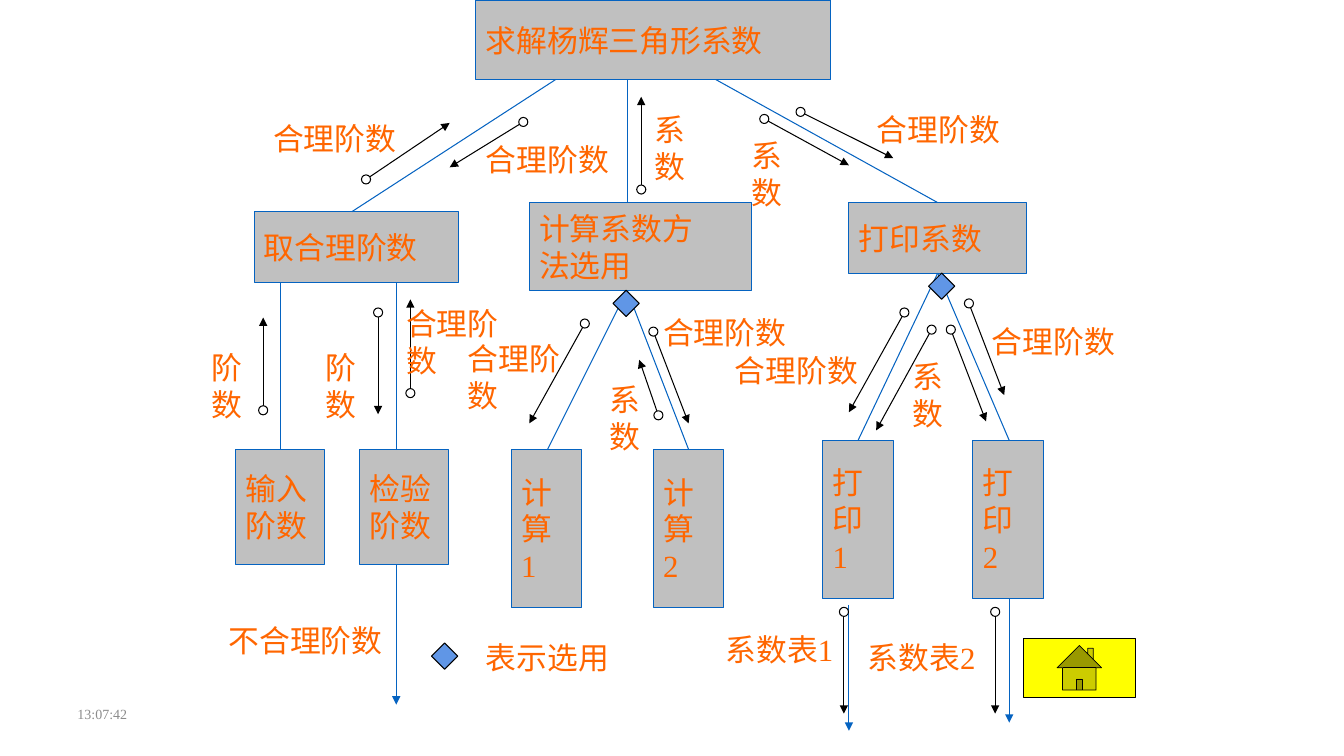
from math import hypot

from pptx import Presentation
from pptx.dml.color import RGBColor
from pptx.enum.shapes import MSO_CONNECTOR as CONN, MSO_SHAPE as SHAPE
from pptx.enum.text import MSO_ANCHOR as ANCHOR, PP_ALIGN as ALIGN
from pptx.oxml.ns import qn
from pptx.util import Inches, Pt
from lxml.etree import SubElement

COLORS = {
    "module": "C0C0C0", "link": "0563C1", "text": "FF6600", "black": "000000",
    "white": "FFFFFF", "choice": "6096E6", "home": "FFFF00", "time": "8C8C8C",
}
LABEL = {"size": Pt(22), "name": "Times New Roman"}
TIME = {"size": Pt(10), "name": "Times New Roman"}
DOT = 0.09
DIAMOND = 0.26

MODULES = {
    "root": ("求解杨辉三角形系数", 2.72, 0, 3.52, 0.79),
    "get": ("取合理阶数", 0.52, 2.1, 2.03, 0.7),
    "print": ("打印系数", 6.42, 2.01, 1.76, 0.7),
    "calc": ("计算系数方\n法选用", 3.25, 2.01, 2.2, 0.87),
    "input": ("输入\n阶数", 0.34, 4.46, 0.88, 1.14),
    "check": ("检验\n阶数", 1.57, 4.46, 0.88, 1.14),
    "calc1": ("计\n算\n1", 3.07, 4.46, 0.7, 1.57),
    "calc2": ("计\n算\n2", 4.48, 4.46, 0.7, 1.57),
    "print1": ("打\n印\n1", 6.16, 4.37, 0.7, 1.57),
    "print2": ("打\n印\n2", 7.65, 4.37, 0.7, 1.57),
}
LINKS = [
    ("root", 4.22, "calc", 4.22), ("root", 3.51, "get", 1.49),
    ("root", 5.1, "print", 7.3), ("get", 0.78, "input", 0.78),
    ("get", 1.93, "check", 1.93), ("calc", 4.22, "calc1", 3.43),
    ("calc", 4.22, "calc2", 4.83), ("print", 7.3, "print1", 6.51),
    ("print", 7.3, "print2", 8.01),
]
OUTPUTS = [(1.93, 5.6, 6.99), (6.42, 6, 7.25), (8.01, 5.94, 7.17)]
FLOWS = [
    (0.61, 4.07, 0.61, 3.15), (2.07, 3.9, 2.07, 2.97), (4.36, 1.88, 4.36, 0.96),
    (1.75, 3.1, 1.75, 4.11), (6.37, 6.07, 6.37, 7.08), (7.87, 6.07, 7.87, 7.08),
    (3.8, 3.21, 3.25, 4.2), (4.48, 3.29, 4.83, 4.2), (4.53, 4.12, 4.34, 3.57),
    (6.97, 3.1, 6.42, 4.09), (7.61, 3.01, 7.96, 3.92), (7.43, 3.27, 7.78, 4.18),
    (7.24, 3.27, 6.69, 4.27), (1.63, 1.78, 2.46, 1.22), (3.19, 1.21, 2.46, 1.66),
    (5.58, 1.18, 6.42, 1.64), (5.94, 1.11, 6.86, 1.57),
]
LABELS = {
    "合理阶数": [
        (0.61, 1.14, 1.59), (2.72, 1.35, 1.52), (6.6, 1.05, 1.67), (2.54, 3.32, 1.23),
        (4.48, 3.06, 1.67), (5.19, 3.44, 1.76), (7.74, 3.15, 1.67), (1.93, 2.97, 1.23),
    ],
    "不合理阶数": [(0.17, 6.12, 2.2)],
    "阶数": [(0, 3.41, 0.7), (1.13, 3.41, 0.7)],
    "系数": [(3.95, 3.73, 0.7), (6.95, 3.5, 0.7), (4.39, 1.05, 0.7), (5.36, 1.31, 0.7)],
    "系数表1": [(5.1, 6.21, 1.36)],
    "系数表2": [(6.51, 6.29, 1.76)],
}
CHOICES = [(4.08, 2.88), (7.21, 2.71)]


def color(name):
    return RGBColor.from_string(COLORS[name])


def write(sp, text, fmt=LABEL, ink="text", anchor=ANCHOR.TOP):
    tf = sp.text_frame
    tf.word_wrap = True
    tf.vertical_anchor = anchor
    tf.text = text
    for p in tf.paragraphs:
        p.alignment = ALIGN.LEFT
        for r in p.runs:
            for key, value in fmt.items():
                setattr(r.font, key, value)
            r.font.color.rgb = color(ink)


def add_text(s, text, x, y, w, h, **style):
    write(s.shapes.add_textbox(*map(Inches, (x, y, w, h))), text, **style)


def add_shape(s, kind, x, y, w, h, fill, line="black", width=0.75):
    sp = s.shapes.add_shape(kind, *map(Inches, (x, y, w, h)))
    sp.shadow.inherit = False
    sp.fill.solid()
    sp.fill.fore_color.rgb = color(fill)
    sp.line.color.rgb = color(line)
    sp.line.width = Pt(width)
    return sp


def add_line(s, x1, y1, x2, y2, ink, arrow=False):
    cx = s.shapes.add_connector(CONN.STRAIGHT, *map(Inches, (x1, y1, x2, y2)))
    cx.line.color.rgb = color(ink)
    cx.line.width = Pt(0.75)
    if arrow:
        SubElement(cx.line._get_or_add_ln(), qn("a:tailEnd"), type="triangle")
    SubElement(cx._element.spPr, qn("a:effectLst"))


def draw_modules(s, left, top):
    for text, x, y, w, h in MODULES.values():
        sp = add_shape(s, SHAPE.RECTANGLE, left + x, top + y, w, h, "module", "link")
        write(sp, text, anchor=ANCHOR.MIDDLE)
    for parent, x1, child, x2 in LINKS:
        y1 = MODULES[parent][2] + MODULES[parent][4]
        y2 = MODULES[child][2]
        add_line(s, left + x1, top + y1, left + x2, top + y2, "link")
    for x, y1, y2 in OUTPUTS:
        add_line(s, left + x, top + y1, left + x, top + y2, "link", True)


def draw_flows(s, left, top):
    for x, y, tip_x, tip_y in FLOWS:
        part = DOT / 2 / hypot(tip_x - x, tip_y - y)
        add_line(s, left + x + part * (tip_x - x), top + y + part * (tip_y - y),
                 left + tip_x, top + tip_y, "black", True)
        add_shape(s, SHAPE.OVAL, left + x - DOT / 2, top + y - DOT / 2, DOT, DOT, "white")


def draw_labels(s, left, top):
    for text, places in LABELS.items():
        for x, y, w in places:
            add_text(s, text, left + x, top + y, w, 0.84 if w < 1.3 else 0.47)


def draw_choices(s, left, top):
    for x, y in CHOICES:
        add_shape(s, SHAPE.DIAMOND, left + x, top + y, DIAMOND, DIAMOND, "choice")


def draw_legend(s, left, top):
    add_shape(s, SHAPE.DIAMOND, left, top + 0.09, DIAMOND, DIAMOND, "choice")
    add_text(s, "表示选用", left + 0.44, top, 1.61, 0.47)


def draw_footer(s, left, top):
    add_text(s, "13:07:42", left, top + 0.58, 2.95, 0.35,
             fmt=TIME, ink="time", anchor=ANCHOR.MIDDLE)
    add_shape(s, SHAPE.ACTION_BUTTON_HOME, left + 9.48, top, 1.11, 0.59, "home", width=0.5)


def main():
    prs = Presentation()
    prs.slide_width, prs.slide_height = Inches(13.33), Inches(7.5)
    s = prs.slides.add_slide(prs.slide_layouts[6])
    for draw in (draw_modules, draw_flows, draw_labels, draw_choices):
        draw(s, 2, 0)
    draw_legend(s, 4.28, 6.29)
    draw_footer(s, 0.67, 6.33)
    prs.save("out.pptx")


if __name__ == "__main__":
    main()
